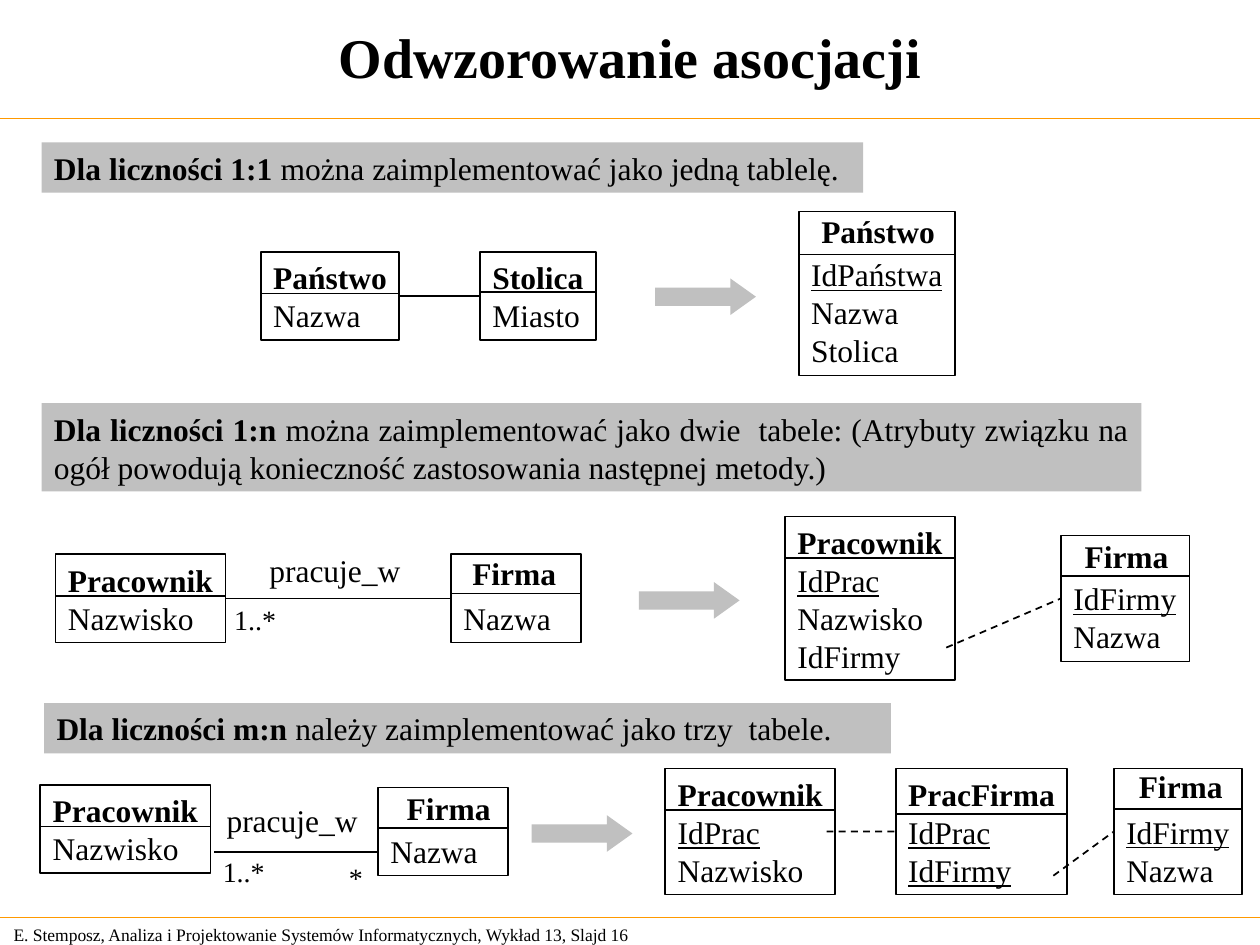
from dataclasses import dataclass

from lxml import etree
from pptx import Presentation
from pptx import util as u
from pptx.dml.color import RGBColor
from pptx.enum import dml, shapes, text
from pptx.oxml.ns import qn

FONT = "Times New Roman"
BLACK, GREY, GOLD, WHITE = "000000", "C0C0C0", "FF9900", "FFFFFF"
LEFT, RIGHT = 1, 3


@dataclass
class Run:
    text: str
    bold: bool = False
    under: bool = False


@dataclass
class Table:
    x: float
    y: float
    w: float
    head: str
    rows: list[str]
    rule: float
    keys: int = 0
    shift: tuple[float, float] | None = None


@dataclass
class Band:
    x: float
    y: float
    w: float
    h: float
    lead: str
    rest: str
    align: text.PP_ALIGN = text.PP_ALIGN.LEFT


@dataclass
class Label:
    x: float
    y: float
    w: float
    text: str
    size: int


def tint(code: str) -> RGBColor:
    return RGBColor.from_string(code)


def write(shape, lines: list[list[Run]], size=18, align=text.PP_ALIGN.LEFT,
          anchor=text.MSO_ANCHOR.TOP, right=0.0):
    frame = shape.text_frame
    frame.word_wrap = True
    frame.vertical_anchor = anchor
    frame.margin_left, frame.margin_right = u.Inches(0.1), u.Inches(right)
    frame.margin_top = frame.margin_bottom = u.Inches(0.05)
    for i, line in enumerate(lines):
        para = frame.paragraphs[0] if i == 0 else frame.add_paragraph()
        para.alignment = align
        para.line_spacing = u.Pt(round(size * 1.205, 1))
        for item in line:
            run = para.add_run()
            run.text = item.text
            font = run.font
            font.name, font.size, font.bold = FONT, u.Pt(size), item.bold
            font.underline = item.under
            font.color.rgb = tint(BLACK)


def add_text(slide, x: float, y: float, w: float, h: float, run: Run, **form):
    box = slide.shapes.add_textbox(*map(u.Inches, (x, y, w, h)))
    write(box, [[run]], **form)


def add_form(slide, kind, x: float, y: float, w: float, h: float,
             fill: str, edge: str | None = None):
    shape = slide.shapes.add_shape(kind, *map(u.Inches, (x, y, w, h)))
    shape.shadow.inherit = False
    shape.fill.solid()
    shape.fill.fore_color.rgb = tint(fill)
    if edge:
        shape.line.color.rgb = tint(edge)
        shape.line.width = u.Pt(1)
    else:
        shape.line.fill.background()
    return shape


def add_line(slide, x: float, y: float, x2: float, y2: float,
             color=BLACK, width=1.0, dash=False, start=None, end=None):
    line = slide.shapes.add_connector(
        shapes.MSO_CONNECTOR.STRAIGHT, *map(u.Inches, (x, y, x2, y2)))
    line.line.color.rgb = tint(color)
    line.line.width = u.Pt(width)
    if dash:
        line.line.dash_style = dml.MSO_LINE.DASH
    etree.SubElement(line._element.spPr, qn("a:effectLst"))
    if start:
        line.begin_connect(start, RIGHT)
    if end:
        line.end_connect(end, LEFT)


def add_table(slide, item: Table):
    high = 0.1 + 0.3 * (len(item.rows) + 1)
    box = add_form(slide, shapes.MSO_SHAPE.RECTANGLE,
                   item.x, item.y, item.w, high, WHITE, BLACK)
    head = Run(item.head, bold=True)
    lines = [[Run(row, under=i < item.keys)] for i, row in enumerate(item.rows)]
    if item.shift:
        write(box, lines, anchor=text.MSO_ANCHOR.BOTTOM)
        dx, dy = item.shift
        add_text(slide, item.x + dx, item.y + dy, 1.1, 0.4, head)
    else:
        write(box, [[head]] + lines)
    level = item.y + item.rule
    add_line(slide, item.x, level, item.x + item.w, level)
    return box


def add_band(slide, band: Band):
    box = add_form(slide, shapes.MSO_SHAPE.RECTANGLE,
                   band.x, band.y, band.w, band.h, GREY)
    write(box, [[Run(band.lead, bold=True), Run(band.rest)]],
          align=band.align, right=0.1)


def add_arrow(slide, x: float, y: float):
    arrow = add_form(slide, shapes.MSO_SHAPE.RIGHT_ARROW, x, y, 0.8, 0.29, GREY)
    arrow.adjustments[0], arrow.adjustments[1] = 0.5, 0.7


BANDS = [
    Band(0.33, 1.13, 6.52, 0.4, "Dla liczności 1:1",
         " można zaimplementować jako jedną tablelę."),
    Band(0.33, 3.2, 8.73, 0.7, "Dla liczności 1:n",
         " można zaimplementować jako dwie  tabele: (Atrybuty związku na ogół "
         "powodują konieczność zastosowania następnej metody.)",
         text.PP_ALIGN.JUSTIFY),
    Band(0.35, 5.58, 6.72, 0.4, "Dla liczności m:n",
         " należy zaimplementować jako trzy  tabele."),
]
TABLES = {
    "land": Table(2.07, 2, 1.1, "Państwo", ["Nazwa"], 0.33),
    "city": Table(3.81, 2, 0.92, "Stolica", ["Miasto"], 0.32),
    "state": Table(6.34, 1.68, 1.24, "Państwo",
                   ["IdPaństwa", "Nazwa", "Stolica"], 0.34, 1, (0.08, -0.05)),
    "staff": Table(0.44, 4.4, 1.35, "Pracownik", ["Nazwisko"], 0.33),
    "firm": Table(3.58, 4.4, 1.03, "Firma", ["Nazwa"], 0.31, 0, (0.07, -0.05)),
    "staff one": Table(6.23, 4.1, 1.35, "Pracownik",
                       ["IdPrac", "Nazwisko", "IdFirmy"], 0.33, 1),
    "firm one": Table(8.42, 4.25, 1.02, "Firma", ["IdFirmy", "Nazwa"],
                      0.32, 1, (0.09, -0.04)),
    "staff two": Table(0.32, 6.23, 1.35, "Pracownik", ["Nazwisko"], 0.33),
    "firm two": Table(3, 6.25, 1.03, "Firma", ["Nazwa"], 0.32, 0, (0.13, -0.04)),
    "staff key": Table(5.28, 6.1, 1.35, "Pracownik",
                       ["IdPrac", "Nazwisko"], 0.33, 1),
    "link": Table(7.11, 6.1, 1.36, "PracFirma", ["IdPrac", "IdFirmy"], 0.36, 2),
    "firm key": Table(8.84, 6.1, 1.02, "Firma", ["IdFirmy", "Nazwa"],
                      0.32, 1, (0.1, -0.06)),
}
LABELS = [
    Label(2.04, 4.32, 1.24, "pracuje_w", 18),
    Label(1.76, 4.73, 0.53, "1..*", 16),
    Label(1.7, 6.31, 1.24, "pracuje_w", 18),
    Label(1.67, 6.73, 0.53, "1..*", 16),
    Label(2.67, 6.78, 0.31, "*", 16),
]


def main():
    deck = Presentation()
    deck.slide_width, deck.slide_height = u.Inches(10), u.Inches(7.5)
    slide = deck.slides.add_slide(deck.slide_layouts[6])
    mid = text.MSO_ANCHOR.MIDDLE
    add_text(slide, 0, -0.02, 10, 0.92, Run("Odwzorowanie asocjacji", bold=True),
             size=32, align=text.PP_ALIGN.CENTER, anchor=mid, right=0.1)
    add_text(slide, 0.01, 7.28, 5.24, 0.27,
             Run("E. Stemposz, Analiza i Projektowanie Systemów "
                 "Informatycznych, Wykład 13, Slajd 16"), size=10, anchor=mid)
    for y in (0.94, 7.28):
        add_line(slide, 0, y, 10, y, GOLD, 0.75)
    for band in BANDS:
        add_band(slide, band)
    for x, y in ((5.2, 2.21), (5.07, 4.62), (4.22, 6.47)):
        add_arrow(slide, x, y)
    add_line(slide, 1.7, 6.76, 3.15, 6.76)
    box = {name: add_table(slide, item) for name, item in TABLES.items()}
    add_line(slide, 3.17, 2.35, 3.81, 2.35, start=box["land"], end=box["city"])
    add_line(slide, 1.79, 4.75, 3.58, 4.75, start=box["staff"], end=box["firm"])
    add_line(slide, 7.51, 5.14, 8.42, 4.75, dash=True, end=box["firm one"])
    add_line(slide, 6.56, 6.6, 7.11, 6.6, dash=True, end=box["link"])
    add_line(slide, 8.36, 6.95, 8.84, 6.6, dash=True, end=box["firm key"])
    for tag in LABELS:
        add_text(slide, tag.x, tag.y, tag.w, 0.4, Run(tag.text), size=tag.size)
    deck.save("out.pptx")


if __name__ == "__main__":
    main()
